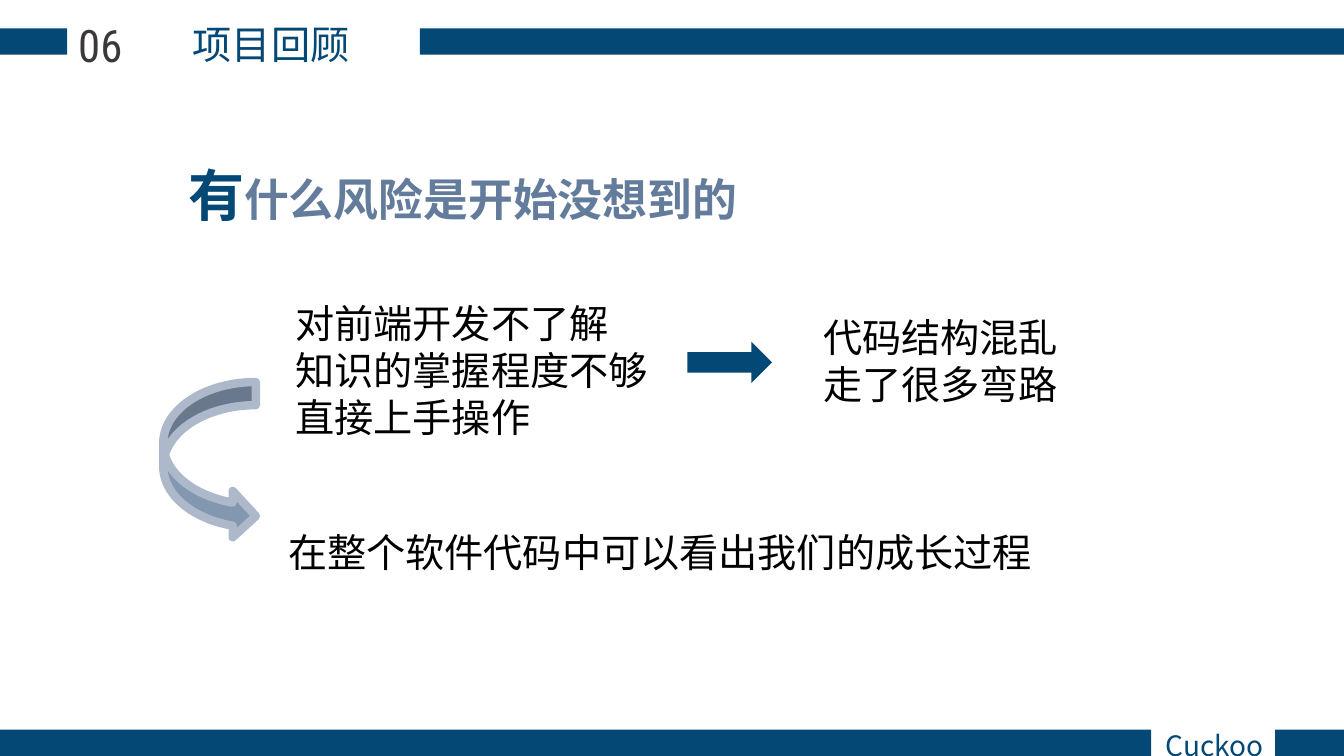
"""Build the project review slide about unexpected risks."""
from pptx import Presentation
from pptx.dml.color import RGBColor
from pptx.enum import shapes, text
from pptx.oxml import ns
from pptx.util import Pt
from lxml import etree

NAVY, STEEL, DARK, BLACK = "044875", "647C9C", "3B3838", "000000"
CJK, NUMERAL = "Noto Sans CJK SC", "Roboto Condensed"
LEFT, CENTER = text.PP_ALIGN.LEFT, text.PP_ALIGN.CENTER
WIDTH, HEIGHT, BAR = 960, 540, 18.8

TITLE = [[("项目回顾", 28, NAVY, False)]]
RISKS = [[(line, 28, BLACK, False)] for line in
         ("对前端开发不了解", "知识的掌握程度不够", "直接上手操作")]
EFFECTS = [[(line, 28, BLACK, False)] for line in ("代码结构混乱", "走了很多弯路")]
HEADING = [[("有", 40, NAVY, True), ("什么风险是开始没想到的", 32, STEEL, True)]]
OUTCOME = [[("在整个软件代码中可以看出我们的成长过程", 28, BLACK, False)]]

TEXT_BOXES = [
    ((43.2, 6.5, 56.9, 46), [[("06", 32, DARK, False)]], CENTER, NUMERAL),
    ((808.6, 514.8, 118, 31.5), [[("Cuckoo", 20, NAVY, False)]], CENTER, CJK),
    ((127.4, 108, 616.3, 55.4), HEADING, LEFT, CJK),
    ((198.7, 371.5, 645, 41), OUTCOME, LEFT, CJK),
    ((581, 218.2, 286.6, 97.2), EFFECTS, LEFT, CJK),
]
BARS = [(0, 48, 20.2), (300, WIDTH, 20.2),
        (0, 822.2, HEIGHT - BAR), (910.8, WIDTH, HEIGHT - BAR)]


def rgb(value):
    return RGBColor.from_string(value)


def assign(obj, values):
    for name, value in values.items():
        setattr(obj, name, value)


def place(sp, box):
    assign(sp, dict(zip(("left", "top", "width", "height"), map(Pt, box))))


def write(sp, paragraphs, align, font=CJK):
    tf = sp.text_frame
    largest = max(run[1] for run in paragraphs[0])
    assign(tf, {"word_wrap": True, "auto_size": text.MSO_AUTO_SIZE.NONE,
                "vertical_anchor": text.MSO_ANCHOR.TOP,
                "margin_left": Pt(7.2), "margin_right": Pt(7.2),
                "margin_top": Pt(3.6 + 0.08 * largest), "margin_bottom": 0})
    for i, runs in enumerate(paragraphs):
        p = tf.add_paragraph() if i else tf.paragraphs[0]
        assign(p, {"alignment": align, "line_spacing": Pt(1.2 * largest),
                   "space_before": Pt(0), "space_after": Pt(0)})
        if sp.is_placeholder:
            pPr = p._p.get_or_add_pPr()
            pPr.set("marL", "0")
            pPr.set("indent", "0")
            etree.SubElement(pPr, ns.qn("a:buNone"))
        for words, size, color, bold in runs:
            r = p.add_run()
            r.text = words
            assign(r.font, {"size": Pt(size), "bold": bold, "name": font})
            r.font.color.rgb = rgb(color)
            ea = etree.SubElement(r._r.get_or_add_rPr(), ns.qn("a:ea"))
            ea.set("typeface", font)


def add_filled(s, kind, box, fill, line=None, weight=0):
    sp = s.shapes.add_shape(kind, *map(Pt, box))
    sp.shadow.inherit = False
    sp.fill.solid()
    sp.fill.fore_color.rgb = rgb(fill)
    if line:
        sp.line.color.rgb = rgb(line)
        sp.line.width = Pt(weight)
    else:
        sp.line.fill.background()


def main():
    prs = Presentation()
    assign(prs, {"slide_width": Pt(WIDTH), "slide_height": Pt(HEIGHT)})
    s = prs.slides.add_slide(prs.slide_layouts[1])
    kinds = shapes.MSO_SHAPE

    for start, end, top in BARS:
        add_filled(s, kinds.RECTANGLE, (start, top, end - start, BAR), NAVY)

    title, body = s.shapes.title, s.placeholders[1]
    place(title, (64, 8.6, 259.2, 41))
    write(title, TITLE, CENTER)
    place(body, (203.8, 208, 270.7, 108.7))
    write(body, RISKS, LEFT)

    for box, paragraphs, align, font in TEXT_BOXES:
        write(s.shapes.add_textbox(*map(Pt, box)), paragraphs, align, font)

    add_filled(s, kinds.RIGHT_ARROW, (491, 244.1, 60.5, 29.5), NAVY)
    add_filled(s, kinds.CURVED_RIGHT_ARROW, (116.6, 272.9, 66.2, 112.3),
               "8497B0", "ADB9CA", 6)
    prs.save("out.pptx")


if __name__ == "__main__":
    main()
